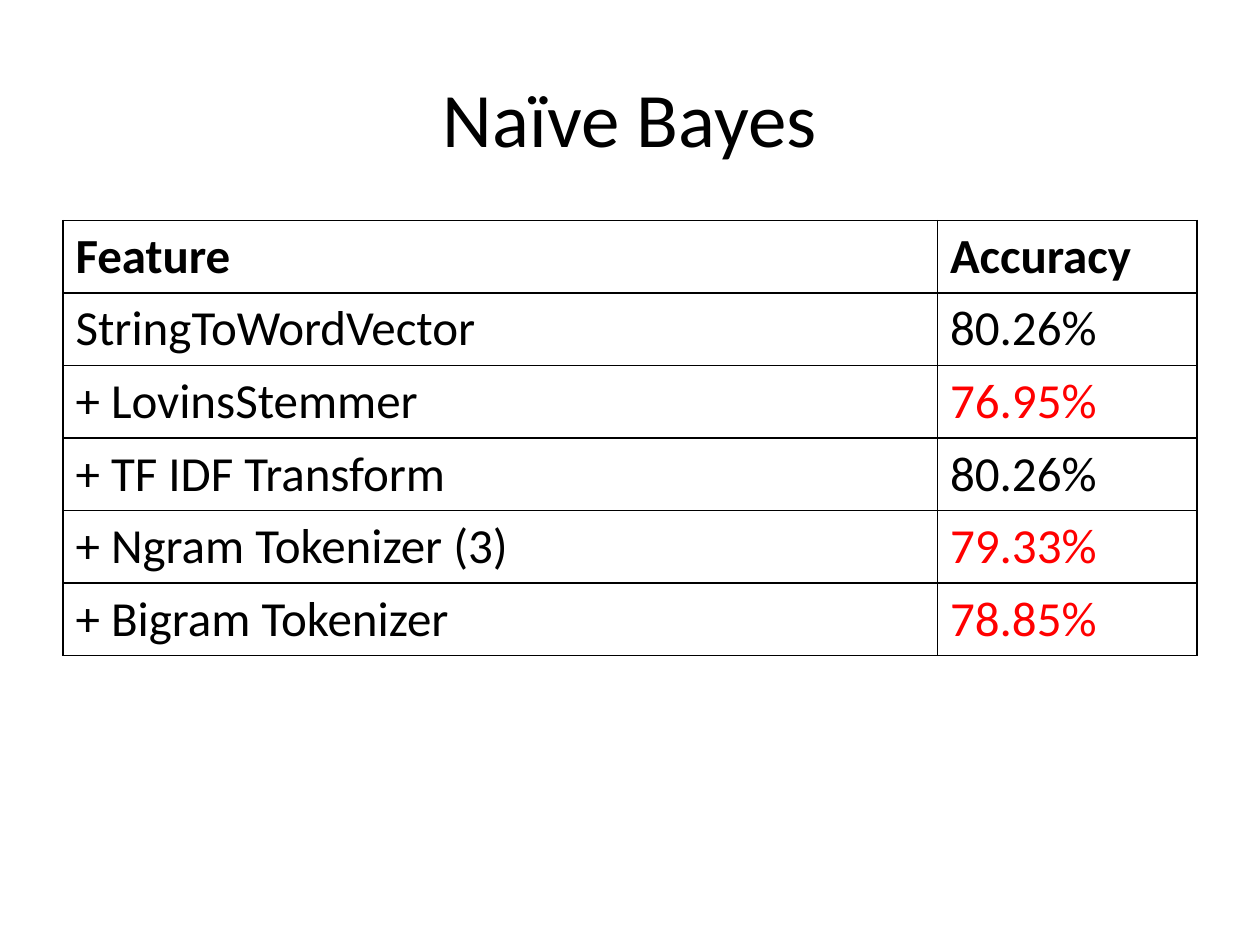
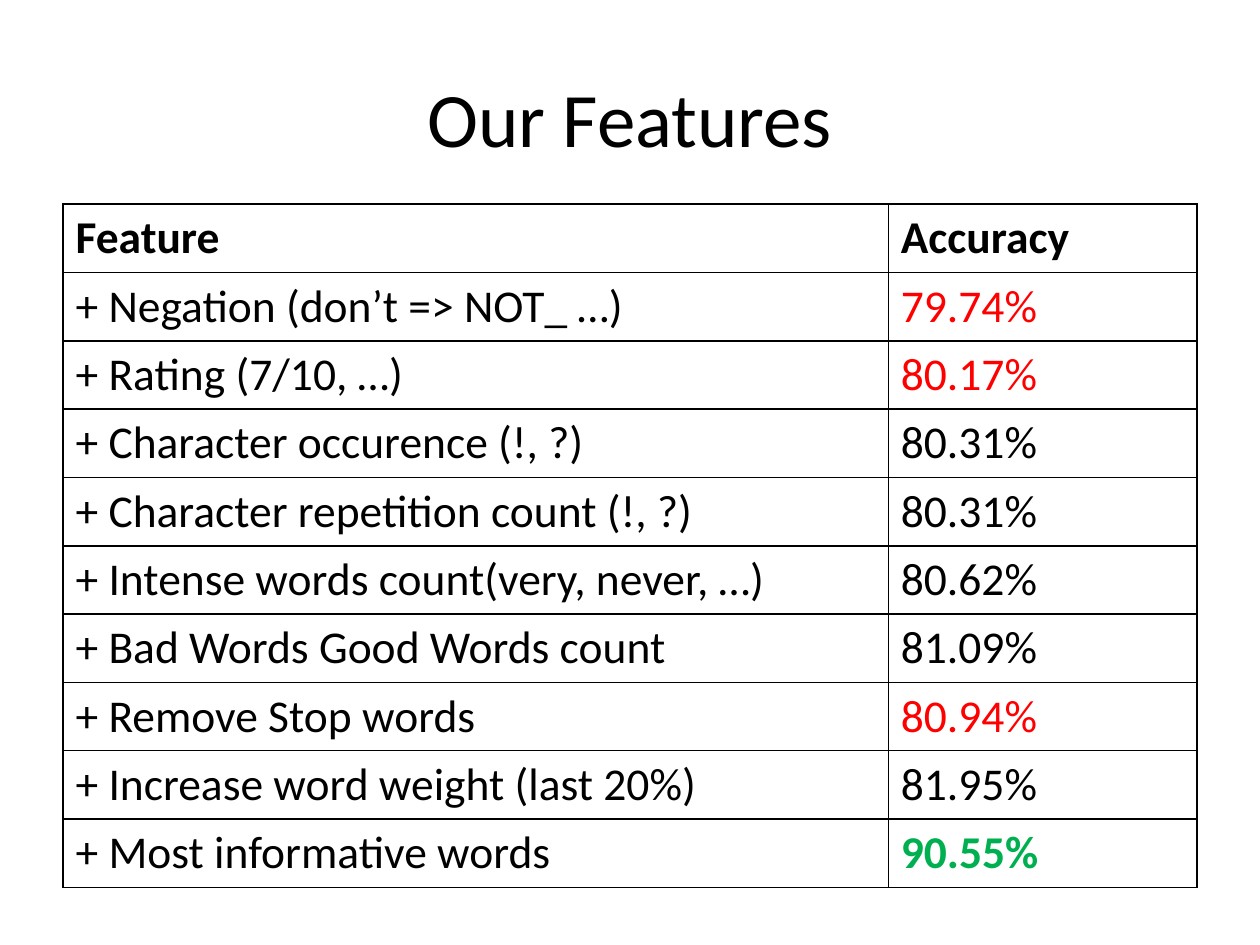
"""Build two slides of classifier accuracy tables."""
import pptx
import pptx.dml.color
import pptx.enum.text
import pptx.oxml
import pptx.oxml.ns
import pptx.util

Pt = pptx.util.Pt
FONT = "Calibri"
BLACK, WHITE, RED, GREEN = "000000", "FFFFFF", "FF0000", "00B050"
LEFT, WIDTH = 36, 648
HEAD = ("Feature", "Accuracy")
LOSS, BEST = {"color": RED}, {"color": GREEN, "bold": True}

SLIDES = [
    {"title": "Naïve Bayes", "top": 126, "row": 40.8, "split": 499.7, "size": 28,
     "rows": [
         ("StringToWordVector", "80.26%", {}),
         ("+ LovinsStemmer", "76.95%", LOSS),
         ("+ TF IDF Transform", "80.26%", {}),
         ("+ Ngram Tokenizer (3)", "79.33%", LOSS),
         ("+ Bigram Tokenizer", "78.85%", LOSS),
     ]},
    {"title": "Our Features", "top": 116.7, "row": 38.4, "split": 471.6, "size": 26,
     "rows": [
         ("+ Negation (don’t => NOT_ …)", "79.74%", LOSS),
         ("+ Rating (7/10, …)", "80.17%", LOSS),
         ("+ Character occurence (!, ?)", "80.31%", {}),
         ("+ Character repetition count (!, ?)", "80.31%", {}),
         ("+ Intense words count(very, never, …)", "80.62%", {}),
         ("+ Bad Words Good Words count", "81.09%", {}),
         ("+ Remove Stop words", "80.94%", LOSS),
         ("+ Increase word weight (last 20%)", "81.95%", {}),
         ("+ Most informative words", "90.55%", BEST),
     ]},
]


def rgb(code):
    return pptx.dml.color.RGBColor.from_string(code)


def write(frame, text, size, color=BLACK, bold=False, align=None):
    para = frame.paragraphs[0]
    para.alignment = align
    run = para.add_run()
    run.text = text
    font = run.font
    font.name, font.size, font.bold = FONT, Pt(size), bold
    font.color.rgb = rgb(color)


def frame_cell(cell):
    props = cell._tc.get_or_add_tcPr()
    for side in ("lnL", "lnR", "lnT", "lnB"):
        props.append(pptx.oxml.parse_xml(
            f'<a:{side} {pptx.oxml.ns.nsdecls("a")} w="{int(Pt(1))}">'
            f'<a:solidFill><a:srgbClr val="{BLACK}"/></a:solidFill></a:{side}>'))
    cell.fill.solid()
    cell.fill.fore_color.rgb = rgb(WHITE)


def add_title(slide, text):
    title = slide.shapes.title
    title.left, title.top = Pt(LEFT), Pt(21.6)
    title.width, title.height = Pt(WIDTH), Pt(90)
    title.text_frame.vertical_anchor = pptx.enum.text.MSO_ANCHOR.MIDDLE
    write(title.text_frame, text, 44, align=pptx.enum.text.PP_ALIGN.CENTER)


def add_grid(slide, data):
    rows = [(*HEAD, {"bold": True})] + data["rows"]
    table = slide.shapes.add_table(
        len(rows), 2, Pt(LEFT), Pt(data["top"]),
        Pt(WIDTH), Pt(data["row"] * len(rows))).table
    table.first_row = table.horz_banding = False
    table.columns[0].width = Pt(data["split"])
    table.columns[1].width = Pt(WIDTH - data["split"])
    for r, (name, score, style) in enumerate(rows):
        looks = (style if r == 0 else {}, style)
        for c, text in enumerate((name, score)):
            cell = table.cell(r, c)
            frame_cell(cell)
            write(cell.text_frame, text, data["size"], **looks[c])


deck = pptx.Presentation()
deck.slide_width, deck.slide_height = Pt(720), Pt(540)
for data in SLIDES:
    slide = deck.slides.add_slide(deck.slide_layouts[5])
    add_title(slide, data["title"])
    add_grid(slide, data)
deck.save("out.pptx")
